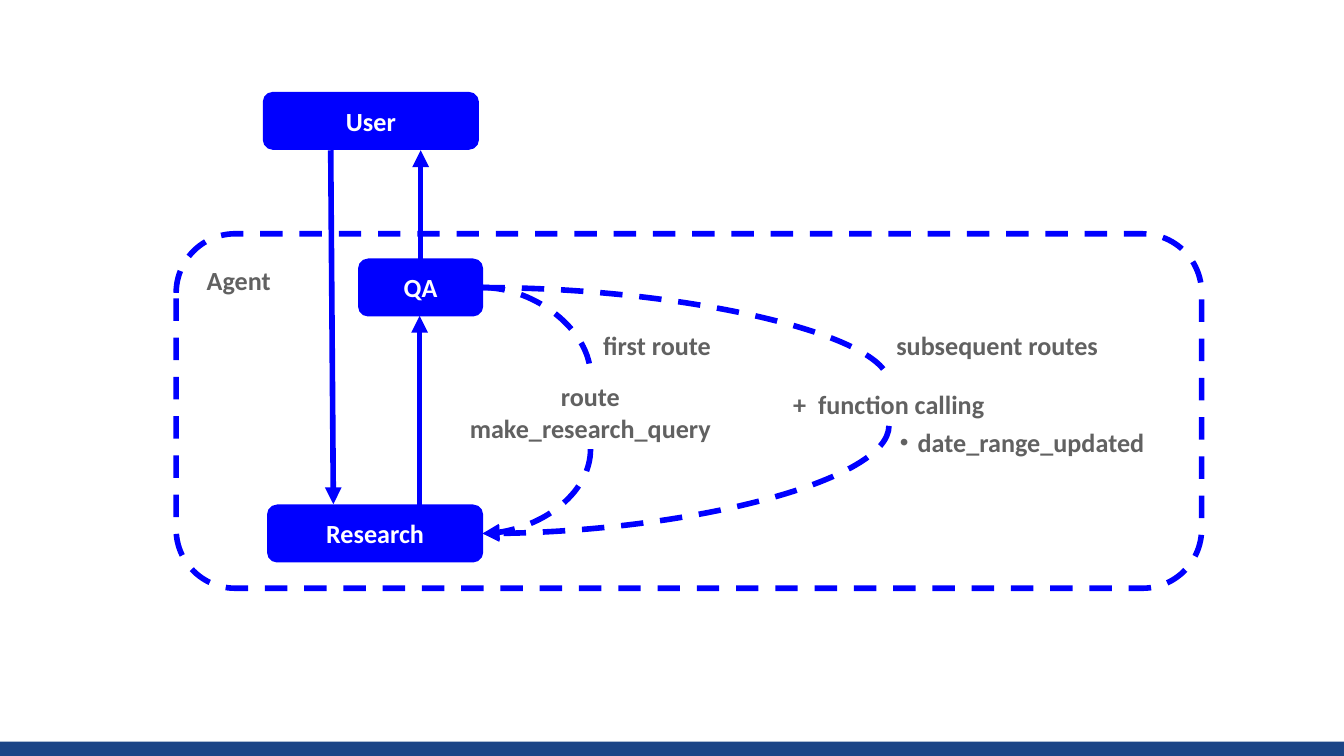
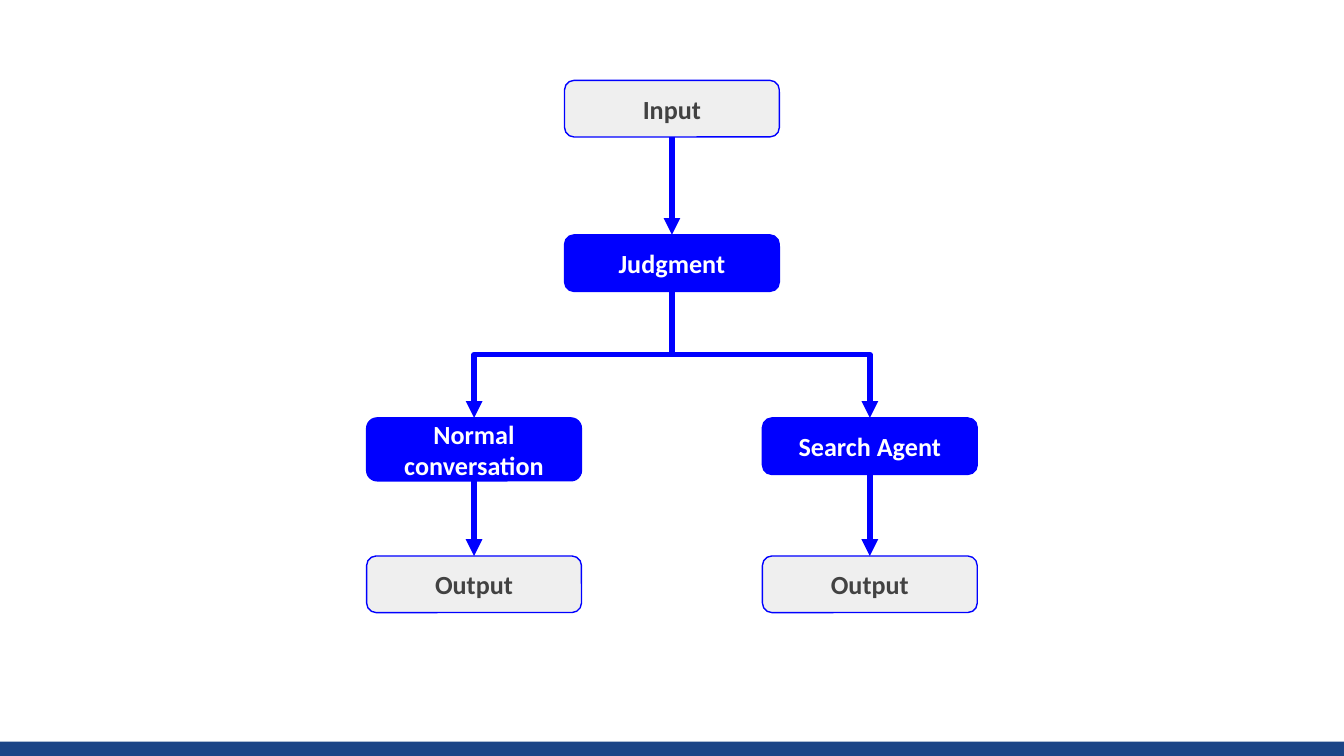
from lxml import etree
from pptx import Presentation
from pptx.dml.color import RGBColor
from pptx.enum.dml import MSO_LINE
from pptx.enum.shapes import MSO_CONNECTOR, MSO_SHAPE
from pptx.enum.text import MSO_ANCHOR, PP_ALIGN
from pptx.oxml.ns import qn
from pptx.util import Cm, Pt

RECT, ROUND = MSO_SHAPE.RECTANGLE, MSO_SHAPE.ROUNDED_RECTANGLE
LINE, ELBOW, CURVE = MSO_CONNECTOR.STRAIGHT, MSO_CONNECTOR.ELBOW, MSO_CONNECTOR.CURVE
DASH = MSO_LINE.DASH
TOP, MID = MSO_ANCHOR.TOP, MSO_ANCHOR.MIDDLE
LEFT, MIDDLE = PP_ALIGN.LEFT, PP_ALIGN.CENTER
UP, DOWN, SIDE = 0, 2, 3

FONT, SIZE = "Calibri", 14
BLUE, NAVY, WHITE = "0000FF", "1C4587", "FFFFFF"
PALE, GREY, DARK = "EFEFEF", "616161", "424242"
WIDE, TALL = 25.4, 14.29
BOX_W, BOX_H = 4.06, 1.07


def color(code):
    """Turn a hex string into a colour."""
    return RGBColor.from_string(code)


def write(shape, text, ink, align=MIDDLE, anchor=MID):
    """Put bold text into a shape."""
    frame = shape.text_frame
    frame.text = text
    frame.word_wrap = True
    frame.vertical_anchor = anchor
    frame.margin_left = frame.margin_right = Cm(0.25)
    frame.margin_top = frame.margin_bottom = Cm(0.25)
    for para in frame.paragraphs:
        para.alignment = align
        for run in para.runs:
            font = run.font
            font.name, font.size, font.bold = FONT, Pt(SIZE), True
            font.color.rgb = color(ink)
            east = etree.SubElement(run._r.get_or_add_rPr(), qn("a:ea"))
            east.set("typeface", FONT)


def block(slide, area, fill=None, edge=None, width=0.75, kind=ROUND):
    """Add a shape with an optional fill and outline."""
    shape = slide.shapes.add_shape(kind, *(Cm(n) for n in area))
    shape.shadow.inherit = False
    if fill:
        shape.fill.solid()
        shape.fill.fore_color.rgb = color(fill)
    else:
        shape.fill.background()
    if edge:
        shape.line.color.rgb = color(edge)
        shape.line.width = Pt(width)
    else:
        shape.line.fill.background()
    return shape


def node(slide, text, left, top, width=BOX_W, height=BOX_H, fill=BLUE, ink=WHITE, edge=BLUE):
    """Add a labelled box of the flow."""
    shape = block(slide, (left, top, width, height), fill, edge)
    write(shape, text, ink)
    return shape


def label(slide, text, left, top, width, height=1.12):
    """Add a plain text label."""
    shape = slide.shapes.add_textbox(Cm(left), Cm(top), Cm(width), Cm(height))
    write(shape, text, GREY, LEFT, TOP)


def dress(link, head=True, dash=False):
    """Style a connector and its arrowhead."""
    link.line.color.rgb = color(BLUE)
    link.line.width = Pt(3)
    if dash:
        link.line.dash_style = DASH
    if head:
        tail = etree.SubElement(link.line._get_or_add_ln(), qn("a:tailEnd"))
        tail.set("type", "triangle")
    etree.SubElement(link._element.spPr, qn("a:effectLst"))


def arrow(slide, *ends):
    """Add a straight arrow between two points."""
    dress(slide.shapes.add_connector(LINE, *(Cm(n) for n in ends)))


def turn(link):
    """Rotate a connector so that it leaves its start downwards."""
    start, end = link.begin_x, link.end_x
    top, base = link.begin_y, link.end_y
    width, height = base - top, abs(end - start)
    frame = link._element.spPr.find(qn("a:xfrm"))
    for flip in ("flipH", "flipV"):
        frame.attrib.pop(flip, None)
    link.left, link.top = (start + end - width) // 2, (top + base - height) // 2
    link.width, link.height = width, height
    frame.set("rot", str((90 if end < start else 270) * 60000))
    if end > start:
        frame.set("flipH", "1")


def join(slide, kind, first, out, last, into, head=True):
    """Glue a connector from one box to another."""
    link = slide.shapes.add_connector(kind, 0, 0, 0, 0)
    link.begin_connect(first, out)
    link.end_connect(last, into)
    if kind == CURVE:
        link._element.spPr.find(qn("a:prstGeom")).set("prst", "curvedConnector2")
    if kind != LINE and out == DOWN:
        turn(link)
    dress(link, head, kind == CURVE)


def page(deck):
    """Add a blank slide with the bottom band."""
    slide = deck.slides.add_slide(deck.slide_layouts[6])
    block(slide, (0, TALL - 0.27, WIDE, 0.27), NAVY, kind=RECT)
    return slide


def agent(slide, x, y, w, h):
    """Draw the agent loop with its two routes."""
    frame = block(slide, (x, y + 2.67, w, h - 2.67), edge=BLUE, width=3)
    frame.line.dash_style = DASH
    write(frame, "Agent", GREY, LEFT, TOP)
    node(slide, "User", x + 1.65, y)
    ask = node(slide, "QA", x + 3.45, y + 3.15, 2.34)
    find = node(slide, "Research", x + 1.73, y + 7.8)
    arrow(slide, x + 2.92, y + 1.09, x + 2.97, y + 7.78)
    arrow(slide, x + 4.62, y + 3.15, x + 4.62, y + 1.09)
    arrow(slide, x + 4.6, y + 7.8, x + 4.6, y + 4.22)
    steps = [
        ("route\nmake_research_query", 5, 5.34, 5.66, 1.4),
        ("+  function calling", 11.17, 5.49, 4.6, 0.81),
    ]
    for text, left, top, width, height in steps:
        step = node(slide, text, x + left, y + top, width, height, WHITE, GREY, WHITE)
        join(slide, CURVE, ask, SIDE, step, UP, False)
        join(slide, CURVE, step, DOWN, find, SIDE)
    label(slide, "first route", x + 7.82, y + 4.22, 3.35)
    label(slide, "subsequent routes", x + 13.36, y + 4.22, 5.11)
    note = block(slide, (x + 13.23, y + 6.2, 5.84, 0.81))
    write(note, "・date_range_updated", GREY, LEFT)


def tree(slide, x, y, w, h):
    """Draw the judgment and its two branches."""
    mid, right = x + (w - BOX_W) / 2, x + w - BOX_W
    pale = {"fill": PALE, "ink": DARK}
    start = node(slide, "Input", mid, y, **pale)
    judge = node(slide, "Judgment", mid, y + 2.92)
    join(slide, LINE, start, DOWN, judge, UP)
    for text, left, height in [("Search Agent", right, BOX_H), ("Normal conversation", x, 1.19)]:
        branch = node(slide, text, left, y + 6.38, height=height)
        result = node(slide, "Output", left, y + h - BOX_H, **pale)
        join(slide, ELBOW, judge, DOWN, branch, UP)
        join(slide, LINE, branch, DOWN, result, UP)


def main():
    """Build and save the deck."""
    deck = Presentation()
    deck.slide_width, deck.slide_height = Cm(WIDE), Cm(TALL)
    agent(page(deck), 3.33, 1.75, 19.38, 9.37)
    tree(page(deck), 6.93, 1.52, 11.54, 10.06)
    deck.save("out.pptx")


if __name__ == "__main__":
    main()
